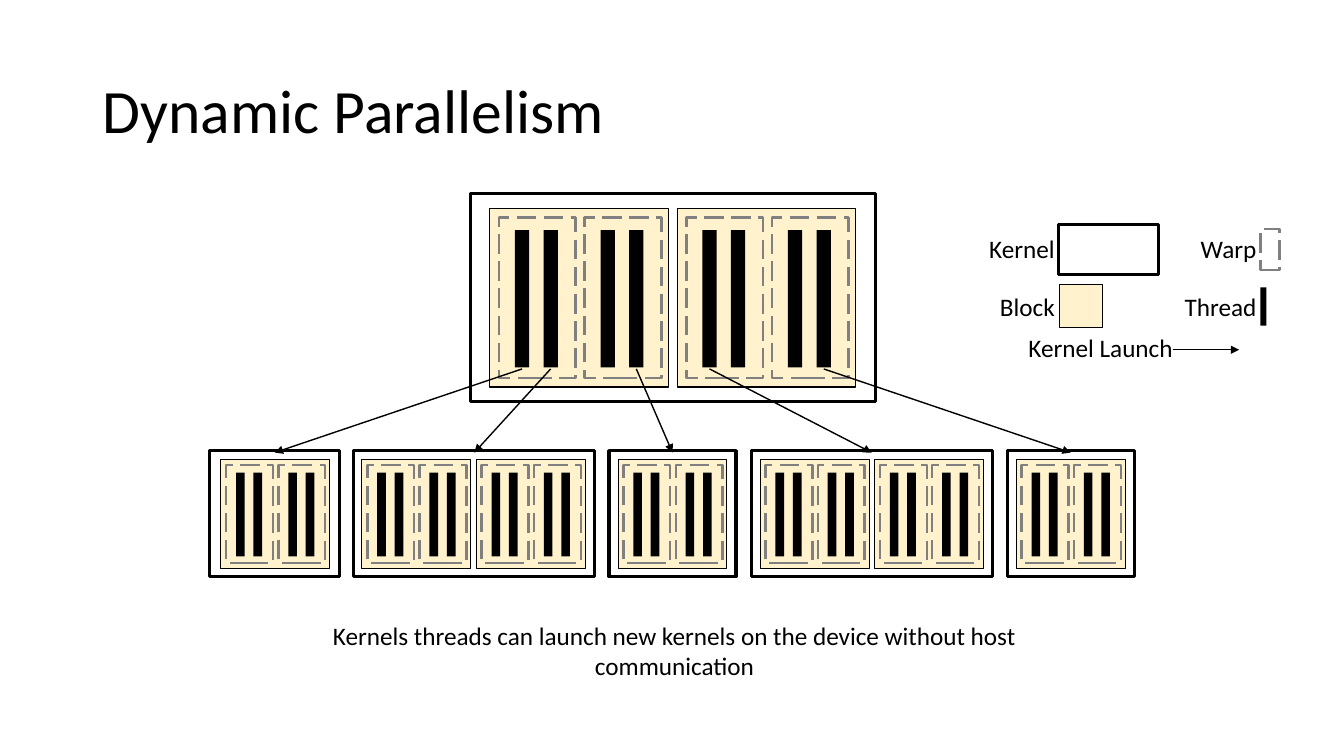
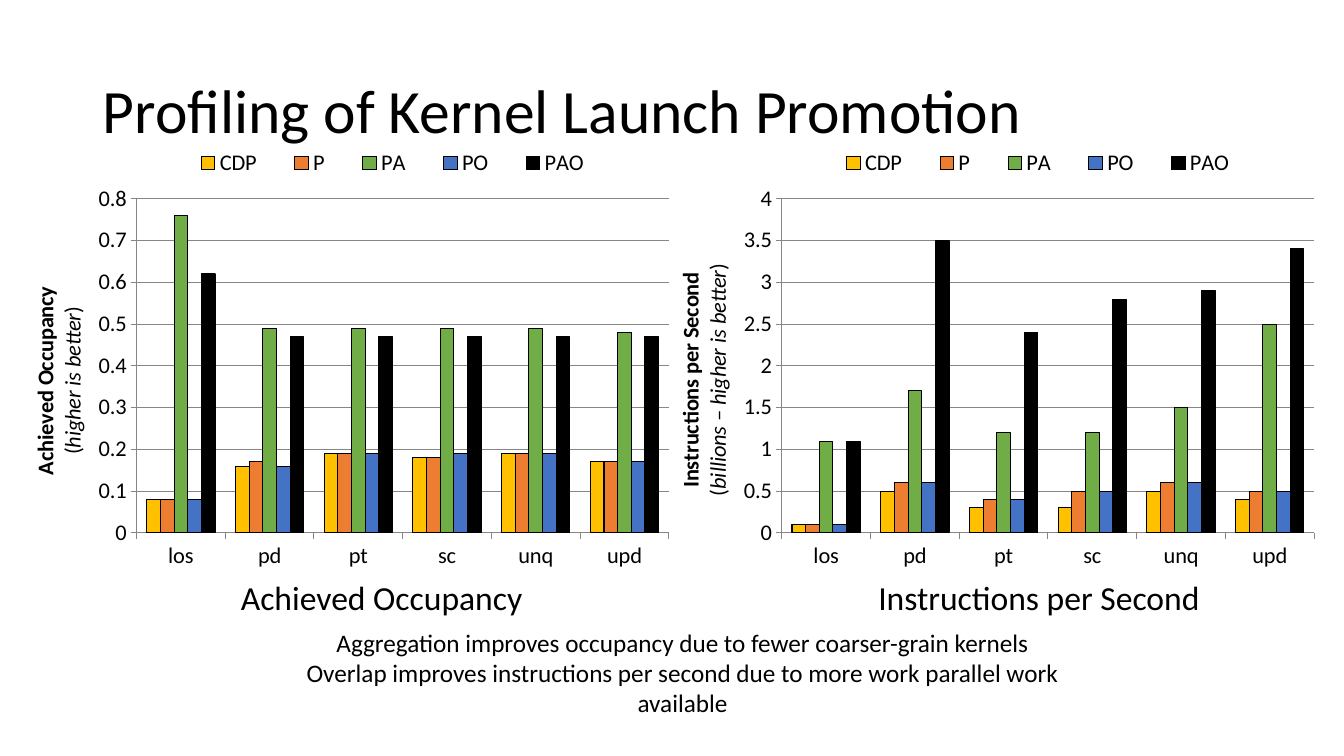
from lxml import etree
from pptx import Presentation
from pptx.chart.data import CategoryChartData
from pptx.dml.color import RGBColor
from pptx.enum import chart as ch, dml, shapes, text
from pptx.oxml import ns
from pptx.util import Inches, Pt

rgb = RGBColor.from_string
BLACK, GREY, CREAM = "000000", "808080", "FFF2CC"
LEFT, CENTER, RIGHT = text.PP_ALIGN.LEFT, text.PP_ALIGN.CENTER, text.PP_ALIGN.RIGHT
STYLES = {
    "kernel": dict(fill=None, line=BLACK, width=2.25, dash=None),
    "block": dict(fill=CREAM, line=BLACK, width=0.75, dash=None),
    "warp": dict(fill=None, line=GREY, width=1.75, dash=dml.MSO_LINE.LONG_DASH),
    "thread": dict(fill=BLACK, line=None, width=0, dash=None),
}
FONT = {"name": "Calibri", "size": Pt(18)}


def box(parent, kind, x, y, w, h):
    sp = parent.shapes.add_shape(shapes.MSO_SHAPE.RECTANGLE, *map(Inches, (x, y, w, h)))
    sp.shadow.inherit = False
    style = STYLES[kind]
    for part, colour in ((sp.fill, style["fill"]), (sp.line.fill, style["line"])):
        if colour:
            part.solid()
            part.fore_color.rgb = rgb(colour)
        else:
            part.background()
    if style["line"]:
        sp.line.width = Pt(style["width"])
        sp.line.dash_style = style["dash"]


def label(parent, lines, x, y, w, h, align=CENTER, size=18, wrap=False):
    sp = parent.shapes.add_textbox(*map(Inches, (x, y, w, h)))
    tf = sp.text_frame
    tf.word_wrap = wrap
    tf.text = lines
    for p in tf.paragraphs:
        p.alignment = align
        for key, value in {**FONT, "size": Pt(size)}.items():
            setattr(p.font, key, value)
        p.font.color.rgb = rgb(BLACK)


prs = Presentation()
prs.slide_width, prs.slide_height = Inches(13.33), Inches(7.5)
slides = []
for heading in ("Dynamic Parallelism", "Profiling of Kernel Launch Promotion"):
    s = prs.slides.add_slide(prs.slide_layouts[5])
    title = s.shapes.title
    for key, value in dict(left=0.92, top=0.4, width=11.5, height=1.45).items():
        setattr(title, key, Inches(value))
    tf = title.text_frame
    tf.text = heading
    tf.auto_size = text.MSO_AUTO_SIZE.NONE
    tf.vertical_anchor = text.MSO_ANCHOR.MIDDLE
    p = tf.paragraphs[0]
    p.alignment, p.line_spacing = LEFT, 0.9
    for key, value in {**FONT, "size": Pt(44)}.items():
        setattr(p.font, key, value)
    p.font.color.rgb = rgb(BLACK)
    slides.append(s)
diagram, profile = slides

children = [(2.08, 1.29, 2.19, 1), (3.51, 2.39, 3.59, 2), (6.04, 1.26, 6.13, 1),
            (7.45, 2.39, 7.54, 2), (9.99, 1.26, 10.08, 1)]
kernels = [(x, 4.47, w, 1.25, block_x, 4.56, 1.08, count)
           for x, w, block_x, count in children]
kernels.append((4.67, 1.92, 4.01, 2.06, 4.86, 2.07, 1.77, 2))
for x, y, w, h, block_x, block_y, size, count in kernels:
    kernel = diagram.shapes.add_group_shape()
    box(kernel, "kernel", x, y, w, h)
    thread_centers = []
    for b in range(count):
        left = block_x + b * 1.05 * size
        box(kernel, "block", left, block_y, size, size)
        for i in range(2):
            warp_x = left + (0.05 + 0.48 * i) * size
            box(kernel, "warp", warp_x, block_y + 0.05 * size, 0.43 * size, 0.9 * size)
            for j in range(2):
                thread_x = warp_x + (0.09 + 0.16 * j) * size
                box(kernel, "thread", thread_x, block_y + 0.12 * size,
                    0.08 * size, 0.77 * size)
                thread_centers.append(thread_x + 0.04 * size)

label(diagram, "Kernels threads can launch new kernels on the device without host communication",
      2.49, 6.1, 8.4, 0.7, wrap=True)

launches = diagram.shapes.add_group_shape()
legend = diagram.shapes.add_group_shape()
for kind, x, y, w, h in (("block", 10.51, 2.82, 0.43, 0.43), ("kernel", 10.5, 2.23, 0.99, 0.49),
                         ("warp", 12.5, 2.27, 0.19, 0.41), ("thread", 12.5, 2.85, 0.06, 0.38)):
    box(legend, kind, x, y, w, h)
for name, x, y, w in (("Kernel", 9.7, 2.27, 0.86), ("Block", 9.81, 2.84, 0.75),
                      ("Warp", 11.8, 2.27, 0.76), ("Thread", 11.64, 2.84, 0.92),
                      ("Kernel Launch", 10.08, 3.25, 1.65)):
    label(legend, name, x, y, w, 0.4, RIGHT)

arrows = [(launches, thread_centers[i], 3.66, x + w / 2, 4.49)
          for i, (x, w, block_x, count) in zip((0, 1, 3, 4, 7), children)]
arrows.append((legend, 11.63, 3.47, 12.29, 3.47))
for group, *ends in arrows:
    line = group.shapes.add_connector(shapes.MSO_CONNECTOR.STRAIGHT, *map(Inches, ends))
    line.line.color.rgb = rgb(BLACK)
    line.line.width = Pt(1)
    etree.SubElement(line.line._get_or_add_ln(), ns.qn("a:tailEnd"), type="triangle")
    etree.SubElement(line._element.spPr, ns.qn("a:effectLst"))

COLOURS = {"CDP": "FFC000", "P": "ED7D31", "PA": "70AD47", "PO": "4472C4", "PAO": BLACK}
charts = [
    (0, "Achieved Occupancy", "higher is better", 0.8, 0.1, 0.34, (2.29, 2.99),
     [[0.08, 0.16, 0.19, 0.18, 0.19, 0.17], [0.08, 0.17, 0.19, 0.18, 0.19, 0.17],
      [0.76, 0.49, 0.49, 0.49, 0.49, 0.48], [0.08, 0.16, 0.19, 0.19, 0.19, 0.17],
      [0.62, 0.47, 0.47, 0.47, 0.47, 0.47]]),
    (6.4, "Instructions per Second", "billions – higher is better", 4, 0.5, 0.29, (8.61, 3.39),
     [[0.1, 0.5, 0.3, 0.3, 0.5, 0.4], [0.1, 0.6, 0.4, 0.5, 0.6, 0.5],
      [1.1, 1.7, 1.2, 1.2, 1.5, 2.5], [0.1, 0.6, 0.4, 0.5, 0.6, 0.5],
      [1.1, 3.5, 2.4, 2.8, 2.9, 3.4]]),
]
for x, measure, note, top, step, title_y, (caption_x, caption_w), rows in charts:
    data = CategoryChartData()
    data.categories = ["los", "pd", "pt", "sc", "unq", "upd"]
    for name, values in zip(COLOURS, rows):
        data.add_series(name, values)
    chart = profile.shapes.add_chart(ch.XL_CHART_TYPE.COLUMN_CLUSTERED,
                                     *map(Inches, (x, 1.31, 6.77, 4.42)), data).chart
    chart.has_title = False
    chart.font.name, chart.font.size = "Calibri", Pt(16)
    chart.font.color.rgb = rgb(BLACK)
    chart.has_legend = True
    chart.legend.position = ch.XL_LEGEND_POSITION.TOP
    chart.legend.include_in_layout = False
    plot = chart.plots[0]
    plot.gap_width, plot.overlap, plot.vary_by_categories = 150, 0, False
    for series in plot.series:
        series.format.fill.solid()
        series.format.fill.fore_color.rgb = rgb(COLOURS[series.name])
        series.format.line.color.rgb = rgb(BLACK)
        series.format.line.width = Pt(0.75)

    axis = chart.value_axis
    for key, value in dict(minimum_scale=0, maximum_scale=top, major_unit=step,
                           has_major_gridlines=True, has_title=True).items():
        setattr(axis, key, value)
    axis.tick_labels.number_format = "General"
    axis.tick_labels.number_format_is_linked = False
    for part in (axis, axis.major_gridlines, chart.category_axis):
        part.format.line.color.rgb = rgb("868686")
        part.format.line.width = Pt(0.75)
    for part in (axis, chart.category_axis):
        part.major_tick_mark = ch.XL_TICK_MARK.OUTSIDE
        part.minor_tick_mark = ch.XL_TICK_MARK.NONE

    tf = axis.axis_title.text_frame
    for key, value in dict(rot="-5400000", vert="horz").items():
        tf._txBody.bodyPr.set(key, value)
    for p, runs in ((tf.paragraphs[0], [(measure, True, False)]),
                    (tf.add_paragraph(), [("(", False, False), (note, False, True),
                                          (")", False, False)])):
        for words, bold, italic in runs:
            r = p.add_run()
            r.text = words
            for key, value in {**FONT, "size": Pt(16), "bold": bold, "italic": italic}.items():
                setattr(r.font, key, value)
            r.font.color.rgb = rgb(BLACK)

    plot_area = chart._chartSpace.chart.plotArea
    for part, before, places in (
            (plot_area, None, dict(x=0.2, y=0.15, w=0.78, h=0.75)),
            (chart.legend._element, "c:legendPos", dict(x=0.25, y=0.02, w=0.65, h=0.1)),
            (axis.axis_title._element, "c:tx", dict(x=0.04, y=title_y))):
        for old in part.findall(ns.qn("c:layout")):
            part.remove(old)
        layout = etree.Element(ns.qn("c:layout"))
        manual = etree.SubElement(layout, ns.qn("c:manualLayout"))
        if part is plot_area:
            etree.SubElement(manual, ns.qn("c:layoutTarget"), val="inner")
        for key in "xy":
            etree.SubElement(manual, ns.qn(f"c:{key}Mode"), val="edge")
        for key, value in places.items():
            etree.SubElement(manual, ns.qn(f"c:{key}"), val=str(value))
        if before:
            part.find(ns.qn(before)).addnext(layout)
        else:
            part.insert(0, layout)

    label(profile, measure, caption_x, 5.67, caption_w, 0.5, size=24)

label(profile, "Aggregation improves occupancy due to fewer coarser-grain kernels\n"
      "Overlap improves instructions per second due to more work parallel work available",
      2.57, 6.17, 8.4, 1, wrap=True)

prs.save("out.pptx")
